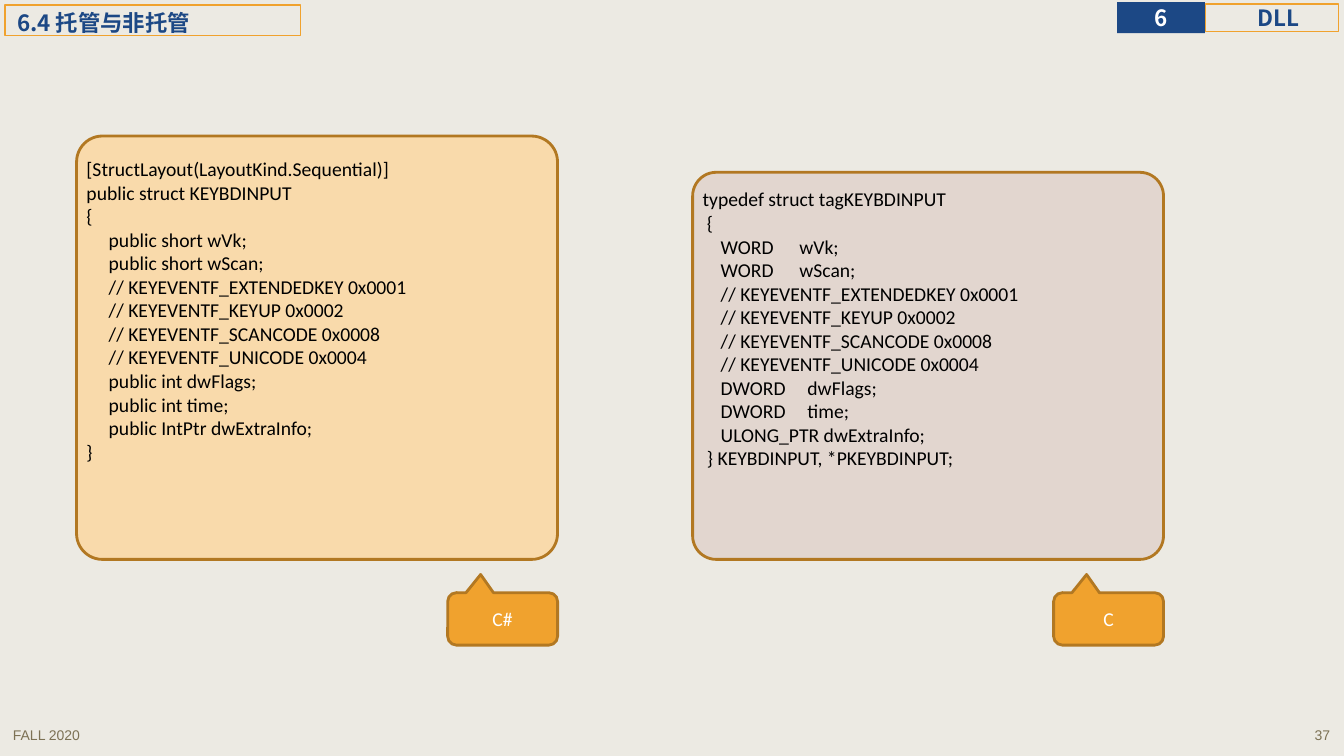
from lxml import etree
from pptx import Presentation
from pptx.dml.color import RGBColor
from pptx.enum.shapes import MSO_SHAPE
from pptx.enum.text import MSO_ANCHOR, PP_ALIGN
from pptx.oxml.ns import qn
from pptx.util import Emu, Inches, Pt

RECT = MSO_SHAPE.RECTANGLE
ROUNDED = MSO_SHAPE.ROUNDED_RECTANGLE
CALLOUT = MSO_SHAPE.ROUNDED_RECTANGULAR_CALLOUT
LEFT, CENTER, RIGHT = PP_ALIGN.LEFT, PP_ALIGN.CENTER, PP_ALIGN.RIGHT
TOP, MIDDLE = MSO_ANCHOR.TOP, MSO_ANCHOR.MIDDLE

WIDTH, HEIGHT = 13.33, 7.5
COLORS = {
    "background": "ECEAE3", "footer": "7C7154", "navy": "1C4885",
    "orange": "F0A22E", "brown": "B27822", "peach": "F9DAAB",
    "rose": "E2D6CF", "white": "FFFFFF", "black": "000000",
}
HEADING = {"font": "Noto Sans CJK SC", "size": 16, "bold": True, "anchor": MIDDLE}
CODE = {"font": "Calibri", "size": 14}
FLAGS = [
    "|// KEYEVENTF_EXTENDEDKEY 0x0001",
    "|// KEYEVENTF_KEYUP 0x0002",
    "|// KEYEVENTF_SCANCODE 0x0008",
    "|// KEYEVENTF_UNICODE 0x0004",
]
# A bar in a code line moves on to the next tab stop.
CSHARP_LINES = [
    "[StructLayout(LayoutKind.Sequential)]",
    "public struct KEYBDINPUT",
    "{",
    "|public short wVk;",
    "|public short wScan;",
    *FLAGS,
    "|public int dwFlags;",
    "|public int time;",
    "|public IntPtr dwExtraInfo;",
    "}",
]
C_LINES = [
    "typedef struct tagKEYBDINPUT",
    " {",
    "|WORD|wVk;",
    "|WORD|wScan;",
    *FLAGS,
    "|DWORD|dwFlags;",
    "|DWORD|time;",
    "|ULONG_PTR dwExtraInfo;",
    " } KEYBDINPUT, *PKEYBDINPUT;",
]
FIELD_STOPS = {"WORD": 0.96, "DWORD": 1.04}


def rgb(name):
    return RGBColor.from_string(COLORS[name])


def add_tab_stops(para, stops):
    tab_list = etree.SubElement(para._p.get_or_add_pPr(), qn("a:tabLst"))
    for stop in stops:
        etree.SubElement(tab_list, qn("a:tab"), pos=str(Inches(stop)), algn="l")


def write_line(para, text, font, size, color, bold=False, align=LEFT, indent=None):
    para.alignment = align
    cells = text.split("|")
    if len(cells) > 1:
        stops = [indent]
        if len(cells) > 2:
            stops.append(FIELD_STOPS[cells[1]])
        add_tab_stops(para, stops)
    span = para.add_run()
    span.text = "\t".join(cells)
    span.font.name = font
    span.font.size = Pt(size)
    span.font.bold = bold
    span.font.color.rgb = rgb(color)
    etree.SubElement(span._r.get_or_add_rPr(), qn("a:ea"), typeface=font)


def write_text(box, lines, anchor=TOP, insets=(0.1, 0.05, 0.1, 0.05), wrap=True, **style):
    """Fill a box with lines; insets run left, top, right, bottom."""
    frame = box.text_frame
    frame.word_wrap = wrap
    frame.vertical_anchor = anchor
    (frame.margin_left, frame.margin_top,
     frame.margin_right, frame.margin_bottom) = map(Inches, insets)
    for number, line in enumerate(lines):
        para = frame.add_paragraph() if number else frame.paragraphs[0]
        write_line(para, line, **style)
    return frame


def add_text(page, place, lines, **style):
    box = page.shapes.add_textbox(*map(Inches, place))
    write_text(box, lines, **style)


def add_box(page, kind, place, fill=None, line=None, weight=0.75, adjust=()):
    box = page.shapes.add_shape(kind, *map(Inches, place))
    box.shadow.inherit = False
    for number, value in enumerate(adjust):
        box.adjustments[number] = value
    if fill:
        box.fill.solid()
        box.fill.fore_color.rgb = rgb(fill)
    else:
        box.fill.background()
    if line:
        box.line.color.rgb = rgb(line)
        box.line.width = Pt(weight)
    else:
        box.line.fill.background()
    return box


def add_footer(page, left, top, width, height):
    column = 2.78
    style = {"font": "Arial", "size": 10, "color": "footer"}
    add_text(page, (left, top, column, height), ["FALL 2020"], **style)
    add_text(page, (left + width - column, top, column, height), ["37"],
             align=RIGHT, **style)


def add_chapter_tag(page, left, top, width, height):
    number_width = 0.87
    title = add_box(page, RECT, (left + number_width + 0.01, top + 0.02,
                                 width - number_width - 0.01, height - 0.04),
                    line="orange")
    write_text(title, ["DLL"], insets=(0.12, 0, 0, 0), color="navy",
               align=CENTER, **HEADING)
    number = add_box(page, RECT, (left, top, number_width, height), fill="navy")
    write_text(number, ["6"], insets=(0, 0, 0, 0), wrap=False, color="white",
               align=CENTER, **HEADING)


def add_section_title(page, left, top, width, height):
    box = add_box(page, RECT, (left, top, width, height), line="orange")
    frame = write_text(box, ["6.4 托管与非托管"], insets=(0.12, 0, 0, 0),
                       color="navy", **HEADING)
    para = frame.paragraphs[0]
    para.line_spacing = 1.2
    para.space_before = para.space_after = Pt(1.6)


def add_code_panel(page, left, top, width, height, lines, language, fill, text_drop, indent):
    """Draw a code card with its language callout under the right corner."""
    add_box(page, ROUNDED, (left, top, width, height), fill, "brown", 2, [0.061])
    add_text(page, (left, top + text_drop, width, height - text_drop), lines,
             color="black", indent=indent, **CODE)
    callout_width = 1.09
    callout = add_box(page, CALLOUT,
                      (left + width - callout_width, top + height + 0.33,
                       callout_width, 0.52),
                      "orange", "brown", 2, [-0.2, -0.848, 0.167])
    write_text(callout, [language], anchor=MIDDLE, color="white",
               align=CENTER, **CODE)


def main():
    deck = Presentation()
    deck.slide_width, deck.slide_height = Emu(Inches(WIDTH)), Emu(Inches(HEIGHT))
    page = deck.slides.add_slide(deck.slide_layouts[6])
    page.background.fill.solid()
    page.background.fill.fore_color.rgb = rgb("background")

    add_footer(page, 0.03, HEIGHT - 0.34, WIDTH - 0.07, 0.31)
    add_chapter_tag(page, 11.08, 0.02, 2.2, 0.31)
    add_section_title(page, 0.05, 0.05, 2.93, 0.3)
    add_code_panel(page, 0.76, 1.35, 4.77, 4.2, CSHARP_LINES, "C#", "peach",
                   text_drop=0.16, indent=0.22)
    add_code_panel(page, 6.87, 1.71, 4.67, 3.84, C_LINES, "C", "rose",
                   text_drop=0.1, indent=0.18)
    deck.save("out.pptx")


if __name__ == "__main__":
    main()
